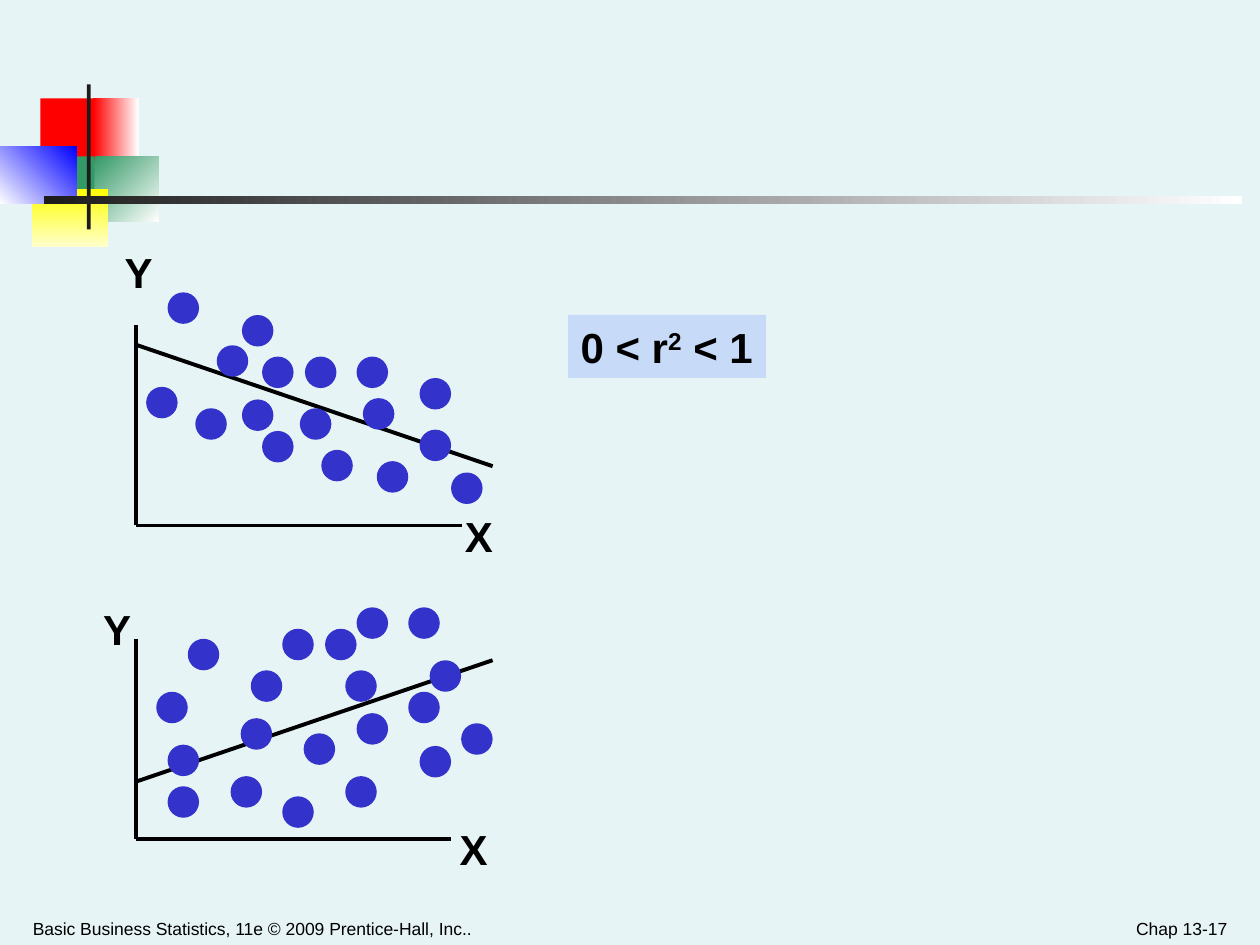
from pptx import Presentation
from pptx.dml.color import RGBColor
from pptx.enum.shapes import MSO_CONNECTOR, MSO_SHAPE
from pptx.enum.text import MSO_ANCHOR, MSO_AUTO_SIZE, PP_ALIGN
from pptx.oxml.ns import qn
from pptx.util import Inches, Pt

BLACK, DOT_BLUE, DOT = "000000", "3333CC", 0.25

# Decoration: left, top, width, height, colours, clockwise gradient angle
DECORATION = [
    (0.32, 0.78, 0.48, 0.52, ["FF0000"], 0),
    (0.74, 0.78, 0.36, 0.52, ["FF0000", "FFFFFF"], 0),
    (0.75, 1.24, 0.51, 0.52, ["339966", "FFFFFF"], 45),
    (0.43, 1.24, 0.32, 0.52, ["339966"], 0),
    (0.25, 1.5, 0.61, 0.46, ["FFFF00", "FFFFCC"], 90),
    (0, 1.16, 0.61, 0.46, ["FFFFFF", "0000FF"], 315),
    (0.69, 0.67, 0.03, 1.15, ["1C1C1C"], 0),
    (0.35, 1.56, 9.51, 0.06, ["1C1C1C", "FFFFFF"], 0),
]

# Scatter plots: axis corner, axis ends, trend line, axis labels, dots
PLOTS = [
    {
        "origin": (1.08, 4.17), "y_top": 2.58, "x_end": 3.67,
        "trend": (1.09, 2.74, 3.91, 3.7),
        "labels": [("Y", 0.89, 1.91), ("X", 3.59, 4)],
        "dots": [(3.58, 3.75), (3.33, 3.41), (1.33, 2.32), (1.72, 2.74),
                 (2.99, 3.66), (1.16, 3.07), (2.55, 3.57), (1.92, 2.5),
                 (2.83, 2.83), (3.33, 3), (1.55, 3.24), (2.42, 2.83),
                 (1.92, 3.17), (2.38, 3.24), (2.88, 3.16), (2.08, 2.83),
                 (2.08, 3.42)],
    },
    {
        "origin": (1.08, 6.66), "y_top": 5.07, "x_end": 3.58,
        "trend": (1.09, 6.2, 3.91, 5.24),
        "labels": [("Y", 0.72, 4.74), ("X", 3.55, 6.49)],
        "dots": [(1.33, 6.24), (1.33, 5.91), (3.24, 4.82), (3.41, 5.24),
                 (1.83, 6.16), (3.24, 5.49), (2.74, 6.16), (2.83, 4.82),
                 (2.24, 4.99), (1.24, 5.49), (1.49, 5.07), (1.91, 5.7),
                 (2.83, 5.66), (2.41, 5.82), (2.24, 6.32), (3.66, 5.74),
                 (2.74, 5.32), (2.58, 4.99), (1.99, 5.32), (3.33, 5.92)],
    },
]

# Formula runs: text, superscript
FORMULA = [("0 < r", False), ("2", True), (" < 1", False)]
FOOTERS = [
    ("Basic Business Statistics, 11e © 2009 Prentice-Hall, Inc..", 0.17, 5.08, PP_ALIGN.LEFT),
    ("Chap 13-17", 7.5, 2.33, PP_ALIGN.RIGHT),
]
LABEL = {"size": Pt(24), "bold": True, "name": "Arial"}
FOOTER = {"size": Pt(10), "name": "Arial"}


def rgb(value):
    return RGBColor.from_string(value)


def add_shape(kind, x, y, w, h, colors, angle=0):
    sp = s.shapes.add_shape(kind, Inches(x), Inches(y), Inches(w), Inches(h))
    sp.shadow.inherit = False
    sp.line.fill.background()
    if len(colors) == 1:
        sp.fill.solid()
        sp.fill.fore_color.rgb = rgb(colors[0])
    else:
        sp.fill.gradient()
        sp.fill.gradient_angle = (360 - angle) % 360  # counter-clockwise here
        for position, (stop, color) in enumerate(zip(sp.fill.gradient_stops, colors)):
            stop.position = position
            stop.color.rgb = rgb(color)
    return sp


def add_line(x1, y1, x2, y2, width):
    line = s.shapes.add_connector(MSO_CONNECTOR.STRAIGHT, *map(Inches, (x1, y1, x2, y2)))
    line.line.color.rgb = rgb(BLACK)
    line.line.width = Pt(width)
    props = line._element.spPr
    props.append(props.makeelement(qn("a:effectLst"), {}))


def write(sp, runs, style, align=PP_ALIGN.LEFT, **frame):
    tf = sp.text_frame
    for name, value in frame.items():
        setattr(tf, name, value)
    p = tf.paragraphs[0]
    p.alignment = align
    for text, superscript in runs:
        r = p.add_run()
        r.text = text
        r.font.color.rgb = rgb(BLACK)
        for name, value in style.items():
            setattr(r.font, name, value)
        if superscript:
            r._r.get_or_add_rPr().set("baseline", "30000")


def add_text(x, y, w, h, text, style, **options):
    box = s.shapes.add_textbox(Inches(x), Inches(y), Inches(w), Inches(h))
    write(box, [(text, False)], style, **options)


prs = Presentation()
prs.slide_width, prs.slide_height = Inches(10), Inches(7.5)
s = prs.slides.add_slide(prs.slide_layouts[6])
s.background.fill.solid()
s.background.fill.fore_color.rgb = rgb("E7F4F5")

# Corner decoration and rule
for *place, colors, angle in DECORATION:
    add_shape(MSO_SHAPE.RECTANGLE, *place, colors, angle)

# Footers
for text, x, w, align in FOOTERS:
    add_text(x, 7.15, w, 0.35, text, FOOTER, align=align, word_wrap=True,
             vertical_anchor=MSO_ANCHOR.BOTTOM,
             margin_left=Inches(0.09), margin_right=Inches(0.09))

# Scatter plots
FIT = {"word_wrap": False, "auto_size": MSO_AUTO_SIZE.SHAPE_TO_FIT_TEXT}
for plot in PLOTS:
    x0, y0 = plot["origin"]
    add_line(x0, plot["y_top"], x0, y0, 2)
    add_line(x0, y0, plot["x_end"], y0, 2)
    add_line(*plot["trend"], 2.25)
    for x, y in plot["dots"]:
        add_shape(MSO_SHAPE.OVAL, x, y, DOT, DOT, [DOT_BLUE])
    for text, x, y in plot["labels"]:
        add_text(x, y, 0.42, 0.5, text, LABEL, **FIT)

# Range of r squared
formula = add_shape(MSO_SHAPE.RECTANGLE, 4.51, 2.5, 1.57, 0.5, ["C7DAF7"])
write(formula, FORMULA, LABEL, vertical_anchor=MSO_ANCHOR.TOP, **FIT)

prs.save("out.pptx")
